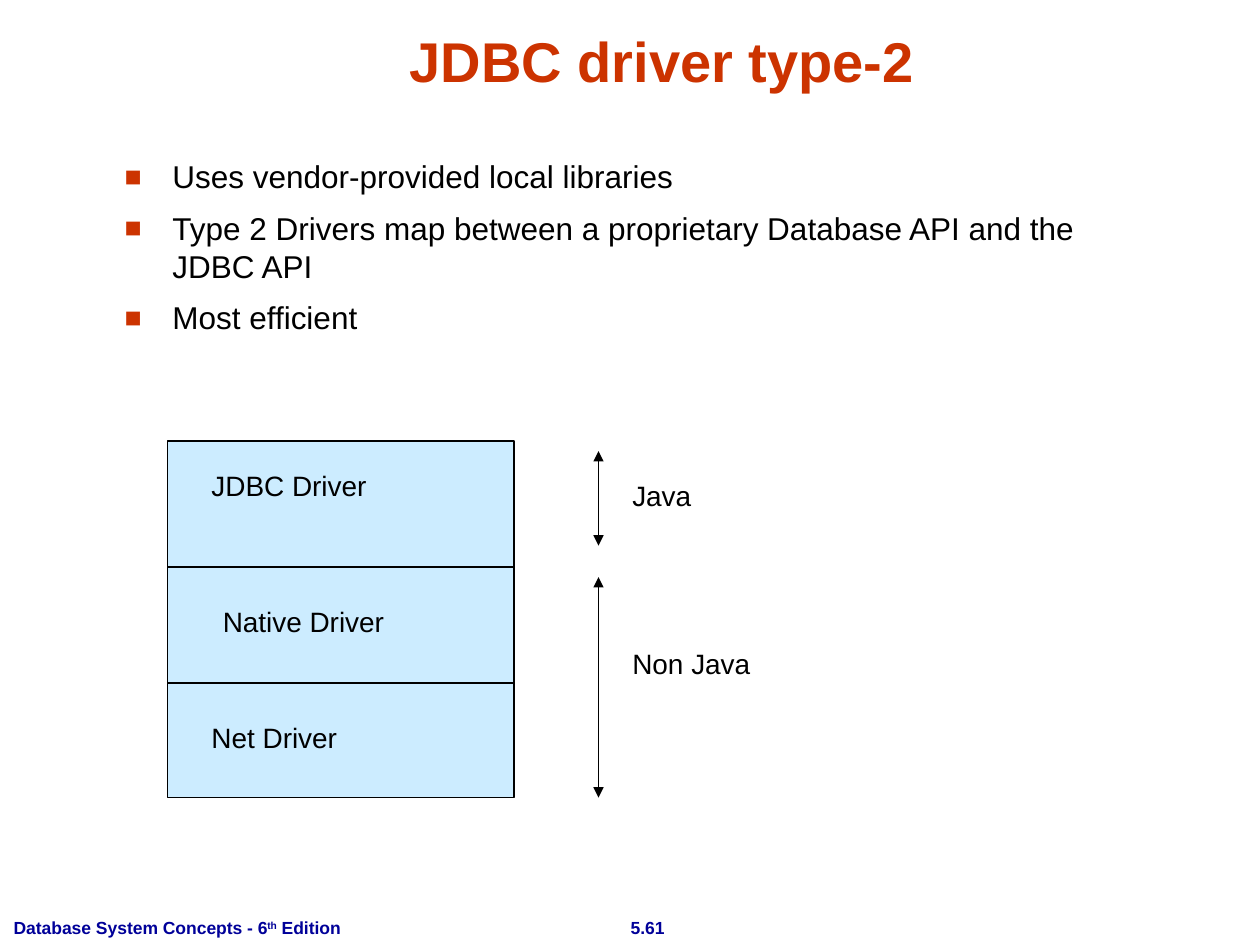
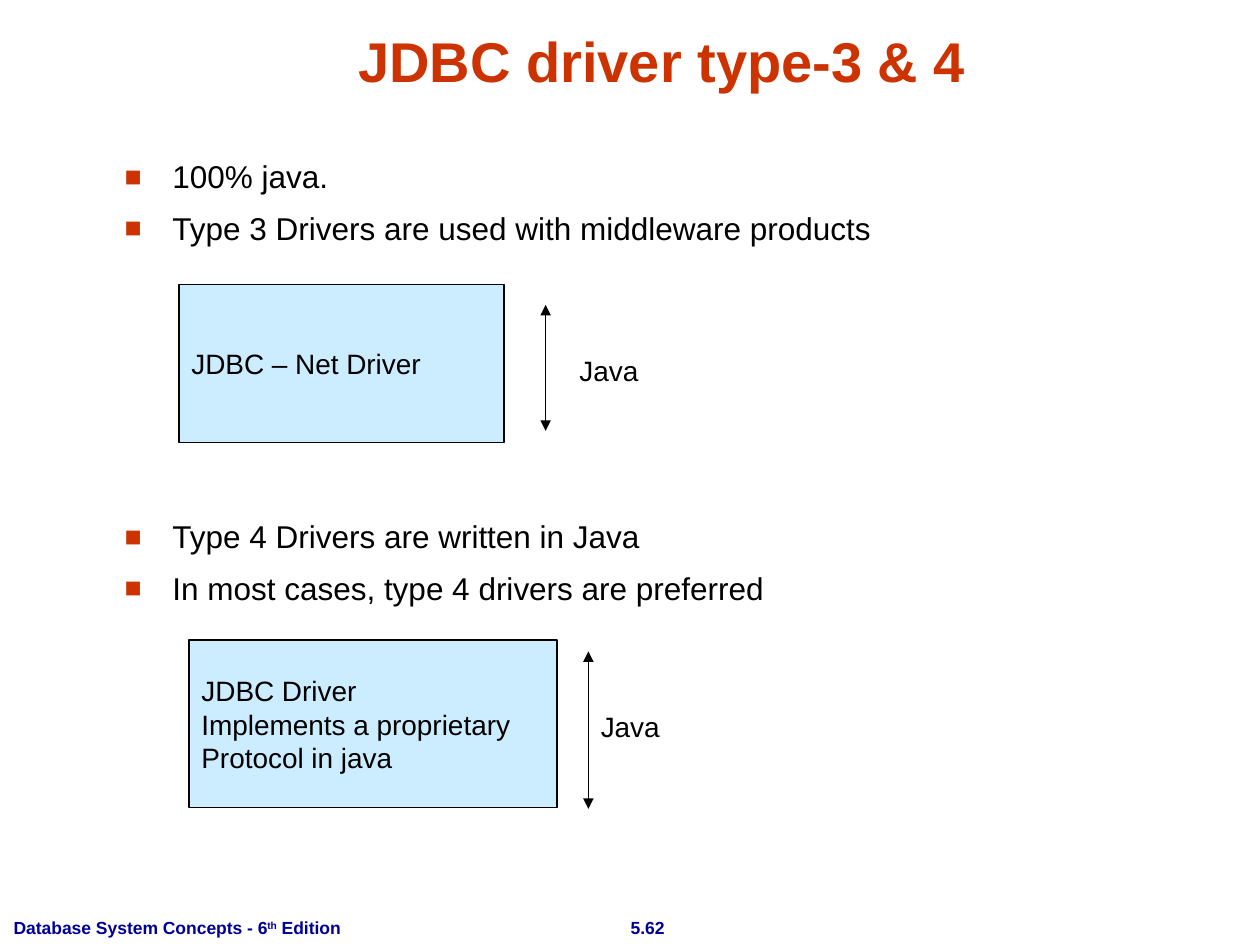
"""Build two slides on JDBC driver types 2, 3 and 4."""
from dataclasses import dataclass

from lxml import etree
from pptx import Presentation
from pptx.dml.color import RGBColor
from pptx.enum import shapes, text
from pptx.oxml import ns
from pptx.util import Inches, Pt

FONT = "Arial"
BLACK = RGBColor(0x00, 0x00, 0x00)
RED = RGBColor(0xCC, 0x33, 0x00)
NAVY = RGBColor(0x00, 0x00, 0x99)
PALE_BLUE = RGBColor(0xCC, 0xEC, 0xFF)

LINE_WIDTH = Pt(0.75)
LABEL_HEIGHT = 0.37
BULLET_GAP = 7.9
DIAGRAM_GAP = 154.7
FOOTER = [("Database System Concepts - 6", False), ("th", True), (" Edition", False)]


@dataclass(frozen=True)
class Bullet:
    """A bullet with the space before it in points."""
    text: str
    gap: float = BULLET_GAP


@dataclass(frozen=True)
class Box:
    """A filled rectangle with optional lines of text."""
    left: float
    top: float
    width: float
    height: float
    lines: tuple[str, ...] = ()


@dataclass(frozen=True)
class Line:
    """A straight line, with arrowheads at both ends if asked."""
    x1: float
    y1: float
    x2: float
    y2: float
    arrows: bool = False


@dataclass(frozen=True)
class Label:
    """A one-line caption."""
    left: float
    top: float
    width: float
    text: str


def span(x: float, top: float, bottom: float) -> Line:
    """Return a vertical double-headed arrow."""
    return Line(x, top, x, bottom, arrows=True)


def sub(parent, tag: str, **attrs: str):
    """Append a drawing element with attributes."""
    return etree.SubElement(parent, ns.qn(tag), attrs)


def write(p, content, size=16, color=BLACK, bold=False, align=text.PP_ALIGN.LEFT):
    """Write a string, or (string, superscript) pairs, into a paragraph."""
    p.alignment = align
    parts = [(content, False)] if isinstance(content, str) else content
    for words, raised in parts:
        r = p.add_run()
        r.text = words
        r.font.name, r.font.size, r.font.bold = FONT, Pt(size), bold
        r.font.color.rgb = color
        if raised:
            r.font._element.set("baseline", "30000")


def add_text(s, left, top, width, height, content="",
             anchor=text.MSO_ANCHOR.TOP, **fmt):
    """Add a wrapping text box and return its text frame."""
    sp = s.shapes.add_textbox(Inches(left), Inches(top), Inches(width), Inches(height))
    tf = sp.text_frame
    tf.word_wrap = True
    tf.vertical_anchor = anchor
    if content:
        write(tf.paragraphs[0], content, **fmt)
    return tf


def add_bullets(s, bullets: list[Bullet]) -> None:
    """Add the body text with red square bullets."""
    tf = add_text(s, 0.89, 1.2, 8.38, 5.36)
    for i, bullet in enumerate(bullets):
        p = tf.add_paragraph() if i else tf.paragraphs[0]
        indent = Inches(0.38)
        pPr = p._p.get_or_add_pPr()
        pPr.set("marL", str(indent))
        pPr.set("indent", str(-indent))
        sub(sub(pPr, "a:buClr"), "a:srgbClr", val=str(RED))
        sub(pPr, "a:buSzPct", val="90000")
        sub(pPr, "a:buFont", typeface=FONT)
        sub(pPr, "a:buChar", char="■")
        if i:
            p.space_before = Pt(bullet.gap)
        write(p, bullet.text, size=18)


def add_box(s, box: Box) -> None:
    """Draw a pale blue rectangle with its text."""
    sp = s.shapes.add_shape(shapes.MSO_SHAPE.RECTANGLE, Inches(box.left),
                            Inches(box.top), Inches(box.width), Inches(box.height))
    sp.shadow.inherit = False
    sp.fill.solid()
    sp.fill.fore_color.rgb = PALE_BLUE
    sp.line.color.rgb = BLACK
    sp.line.width = LINE_WIDTH
    tf = sp.text_frame
    tf.vertical_anchor = text.MSO_ANCHOR.MIDDLE
    for i, words in enumerate(box.lines):
        write(tf.add_paragraph() if i else tf.paragraphs[0], words)


def add_line(s, line: Line) -> None:
    """Draw a thin black connector."""
    cx = s.shapes.add_connector(shapes.MSO_CONNECTOR.STRAIGHT, Inches(line.x1),
                                Inches(line.y1), Inches(line.x2), Inches(line.y2))
    cx.line.color.rgb = BLACK
    cx.line.width = LINE_WIDTH
    if line.arrows:
        ln = cx.line._get_or_add_ln()
        for end in ("a:headEnd", "a:tailEnd"):
            sub(ln, end, type="triangle")
    sub(cx._element.spPr, "a:effectLst")


def add_label(s, label: Label) -> None:
    """Add a caption."""
    add_text(s, label.left, label.top, label.width, LABEL_HEIGHT, label.text)


DRAW = {Box: add_box, Line: add_line, Label: add_label}


def add_slide(prs, title: str, number: str, bullets: list[Bullet], diagram: list) -> None:
    """Add a slide with footer, title, bullets and diagram."""
    s = prs.slides.add_slide(prs.slide_layouts[6])
    footer = dict(size=10, color=NAVY, bold=True)
    add_text(s, 4.65, 7.23, 0.98, 0.27, number, align=text.PP_ALIGN.CENTER, **footer)
    add_text(s, 0.01, 7.23, 3.1, 0.27, FOOTER, **footer)
    add_text(s, 0.84, 0.12, 8.83, 0.67, title, anchor=text.MSO_ANCHOR.BOTTOM,
             size=32, color=RED, bold=True, align=text.PP_ALIGN.CENTER)
    add_bullets(s, bullets)
    for item in diagram:
        DRAW[type(item)](s, item)


def main() -> None:
    """Build and save the presentation."""
    prs = Presentation()
    prs.slide_width, prs.slide_height = Inches(10), Inches(7.5)

    stack = Box(1.33, 3.5, 2.75, 2.83)
    right = stack.left + stack.width
    add_slide(
        prs, "JDBC driver type-2", "5.61",
        [Bullet("Uses vendor-provided local libraries"),
         Bullet("Type 2 Drivers map between a proprietary Database API and the JDBC API"),
         Bullet("Most efficient")],
        [stack,
         *(Line(stack.left, y, right, y) for y in (4.5, 5.42)),
         Label(1.58, 3.67, 2.25, "JDBC Driver"),
         Label(1.67, 4.75, 2.25, "Native Driver"),
         Label(1.58, 5.67, 2.25, "Net Driver"),
         span(4.75, 4.58, 6.33),
         span(4.75, 3.58, 4.33),
         Label(4.92, 3.75, 1.5, "Java"),
         Label(4.92, 5.08, 1.58, "Non Java")])

    add_slide(
        prs, "JDBC driver type-3 & 4", "5.62",
        [Bullet("100% java."),
         Bullet("Type 3 Drivers are used with middleware products"),
         Bullet("Type 4 Drivers are written in Java", gap=DIAGRAM_GAP),
         Bullet("In most cases, type 4 drivers are preferred")],
        [Box(1.42, 2.26, 2.58, 1.25, ("JDBC – Net Driver",)),
         span(4.33, 2.42, 3.42),
         Label(4.5, 2.76, 1, "Java"),
         Box(1.5, 5.08, 2.92, 1.33,
             ("JDBC Driver", "Implements a proprietary", "Protocol in java")),
         span(4.67, 5.17, 6.42),
         Label(4.67, 5.58, 0.83, "Java")])

    prs.save("out.pptx")


if __name__ == "__main__":
    main()
